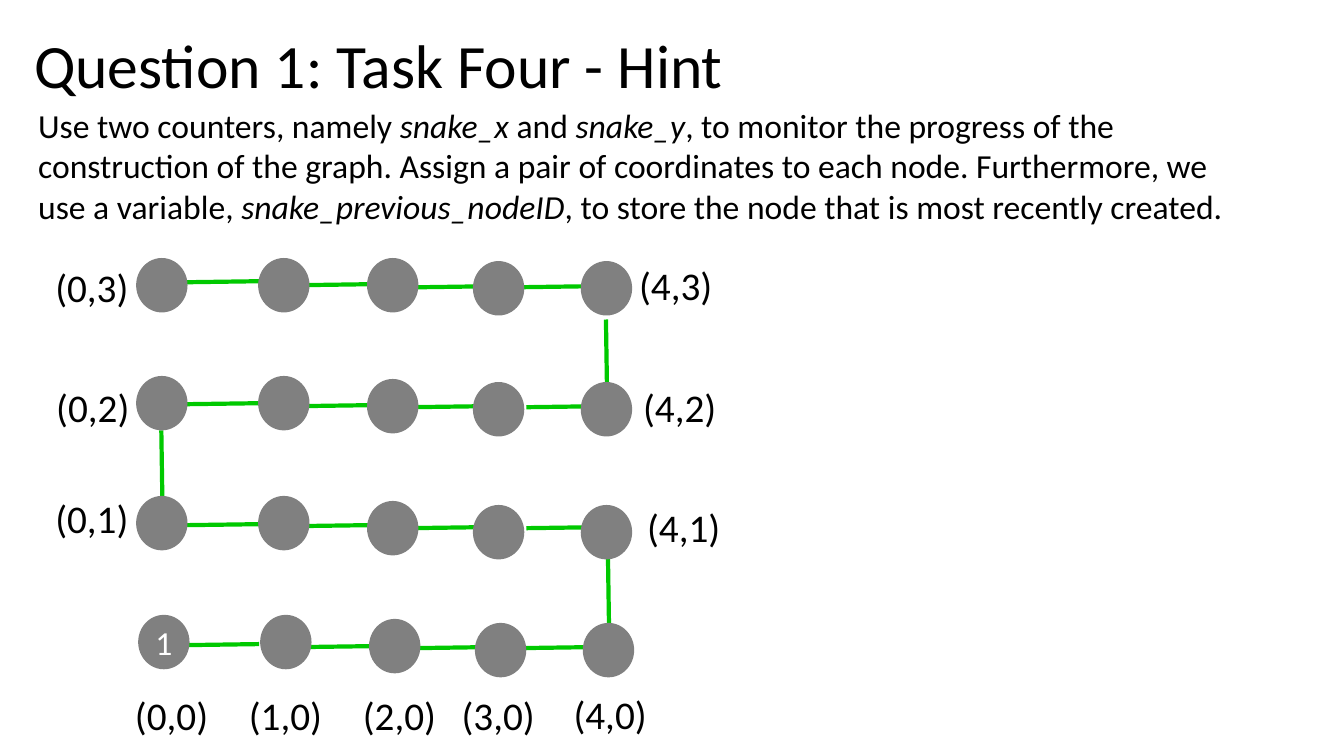
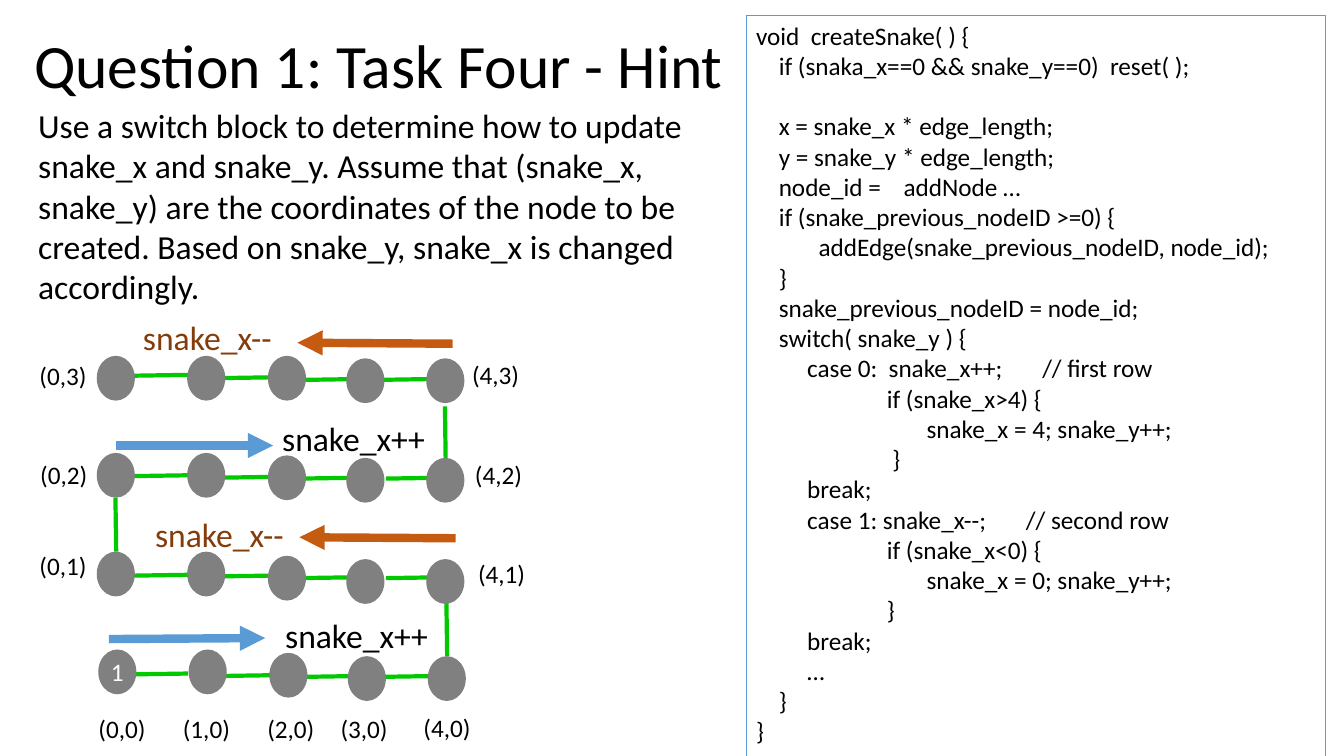
import pptx
import pptx.dml.color
import pptx.enum.shapes
import pptx.enum.text
import pptx.oxml.ns
import pptx.util
from lxml import etree

Inches = pptx.util.Inches
Pt = pptx.util.Pt
RGBColor = pptx.dml.color.RGBColor
ShapeType = pptx.enum.shapes.MSO_SHAPE
qn = pptx.oxml.ns.qn

BLACK = RGBColor(0x00, 0x00, 0x00)
WHITE = RGBColor(0xFF, 0xFF, 0xFF)
GREEN = RGBColor(0x00, 0xC9, 0x00)
GRAY = RGBColor(0x80, 0x80, 0x80)
BLUE = RGBColor(0x5B, 0x9B, 0xD5)
ORANGE = RGBColor(0xC5, 0x5A, 0x11)
BROWN = RGBColor(0x84, 0x3C, 0x0B)
FONT = "Calibri"

TITLE = "Question 1: Task Four - Hint"
COUNTERS_TEXT = [
    ("Use two counters, namely ", False),
    ("snake_x ", True),
    ("and ", False),
    ("snake_y", True),
    (", to monitor the progress of the construction of the graph. Assign a pair of "
     "coordinates to each node. Furthermore, we use a variable, ", False),
    ("snake_previous_nodeID", True),
    (", to store the node that is most recently created.", False),
]
SWITCH_TEXT = [
    ("Use a switch block to determine how to update snake_x and snake_y. Assume that "
     "(snake_x, snake_y) are the coordinates of the node to be created. Based on snake_y, "
     "snake_x is changed accordingly.", False),
]
CODE = """void  createSnake( ) {
    if (snaka_x==0 && snake_y==0)  reset( );
    
    x = snake_x * edge_length;
    y = snake_y * edge_length;
    node_id =    addNode …
    if (snake_previous_nodeID >=0) {
           addEdge(snake_previous_nodeID, node_id);
    }
    snake_previous_nodeID = node_id;
    switch( snake_y ) {
         case 0:  snake_x++;       // first row
                       if (snake_x>4) {
                              snake_x = 4; snake_y++;
                        }
         break;
         case 1: snake_x--;       // second row
                       if (snake_x<0) {
                              snake_x = 0; snake_y++;
                       }
         break;
         …
    }
}"""

NODE_SIZE = (0.51, 0.54)
COLUMN_LEFTS = (1.35, 2.56, 3.64, 4.69, 5.76)
ROW_TOPS = (
    (6.1, 6.1, 6.14, 6.18, 6.18),
    (4.92, 4.92, 4.97, 5.01, 5.01),
    (3.73, 3.73, 3.76, 3.79, 3.79),
    (2.56, 2.56, 2.56, 2.59, 2.59),
)
FIRST_ROW_SHIFT = 0.02
ROW_EDGE = (0.72, -0.01)
ROW_EDGE_STARTS = (
    (1.85, 6.4), (2.98, 6.42), (4.12, 6.43), (5.15, 6.43),
    (1.85, 5.21), (2.93, 5.22), (4.06, 5.24), (5.22, 5.24),
    (1.85, 4.01), (2.93, 4.03), (4.06, 4.04), (5.22, 4.04),
    (1.85, 2.8), (2.93, 2.83), (4.14, 2.85), (5.12, 2.85),
)
TURN_EDGE = (-0.01, -0.65)
TURN_EDGE_STARTS = ((6.04, 6.18), (1.61, 4.92), (6.02, 3.82))
COORDINATES = {
    (0, 0): (1.24, 6.81), (1, 0): (2.37, 6.81), (2, 0): (3.5, 6.81),
    (3, 0): (4.48, 6.81), (4, 0): (5.59, 6.8),
    (4, 1): (6.32, 4.94), (4, 2): (6.28, 3.75), (4, 3): (6.24, 2.54),
    (0, 1): (0.45, 4.85), (0, 2): (0.46, 3.75), (0, 3): (0.45, 2.56),
}
GRAPH_ORIGIN = (1.35, 2.56)
SMALL_ORIGIN = (0.96, 3.53)
SMALL_SCALE = (0.741, 0.823)

ARROWS = [
    ((1.08, 6.34), (2.63, 6.33), BLUE),
    ((1.15, 4.42), (2.71, 4.42), BLUE),
    ((4.49, 3.41), (2.95, 3.4), ORANGE),
    ((4.52, 5.34), (2.97, 5.33), ORANGE),
]
STEP_LABELS = [
    ("snake_x++", 2.73, 6.05, BLACK),
    ("snake_x++", 2.7, 4.1, BLACK),
    ("snake_x--", 1.44, 5.05, BROWN),
    ("snake_x--", 1.32, 3.09, BROWN),
]


def add_run(paragraph, text, size, color=BLACK, italic=False):
    run = paragraph.add_run()
    run.text = text
    run.font.name = FONT
    run.font.size = Pt(size)
    run.font.color.rgb = color
    run.font.italic = italic


def add_text(slide, box, runs, size, color=BLACK):
    shape = slide.shapes.add_textbox(*map(Inches, box))
    frame = shape.text_frame
    frame.word_wrap = True
    for text, italic in runs:
        add_run(frame.paragraphs[0], text, size, color, italic)
    return frame


def add_label(slide, box, text, size, color=BLACK):
    frame = add_text(slide, box, [(text, False)], size, color)
    frame.margin_right = 0


def add_line(shapes, start, end, color, width, arrow=False):
    connector = shapes.add_connector(
        pptx.enum.shapes.MSO_CONNECTOR.STRAIGHT, *map(Inches, (*start, *end)))
    connector.line.color.rgb = color
    connector.line.width = Pt(width)
    properties = connector.element.spPr
    if arrow:
        etree.SubElement(properties.find(qn("a:ln")), qn("a:tailEnd"), type="triangle")
    etree.SubElement(properties, qn("a:effectLst"))


def add_node(shapes, box):
    node = shapes.add_shape(ShapeType.OVAL, *map(Inches, box))
    node.shadow.inherit = False
    node.fill.solid()
    node.fill.fore_color.rgb = GRAY
    node.line.fill.background()
    return node


def add_node_number(node, text, size):
    frame = node.text_frame
    frame.margin_left = frame.margin_right = 0
    frame.margin_top = frame.margin_bottom = 0
    frame.vertical_anchor = pptx.enum.text.MSO_ANCHOR.MIDDLE
    paragraph = frame.paragraphs[0]
    paragraph.alignment = pptx.enum.text.PP_ALIGN.CENTER
    add_run(paragraph, text, size, WHITE)


def add_graph(slide, origin, scale, label_size, label_box, number_size):
    def place(x, y):
        return (origin[0] + (x - GRAPH_ORIGIN[0]) * scale[0],
                origin[1] + (y - GRAPH_ORIGIN[1]) * scale[1])

    shapes = slide.shapes.add_group_shape().shapes
    for starts, (dx, dy) in ((TURN_EDGE_STARTS, TURN_EDGE), (ROW_EDGE_STARTS, ROW_EDGE)):
        for x, y in starts:
            add_line(shapes, place(x, y), place(x + dx, y + dy), GREEN, 3)

    node_size = (NODE_SIZE[0] * scale[0], NODE_SIZE[1] * scale[1])
    for row, tops in enumerate(ROW_TOPS):
        shift = FIRST_ROW_SHIFT if row == 0 else 0
        for column, (left, top) in enumerate(zip(COLUMN_LEFTS, tops)):
            node = add_node(shapes, (*place(left + shift, top), *node_size))
            if (column, row) == (0, 0):
                add_node_number(node, "1", number_size)

    for (column, row), position in COORDINATES.items():
        add_label(slide, (*place(*position), *label_box), f"({column},{row})", label_size)


def add_code(slide):
    shape = slide.shapes.add_shape(
        ShapeType.RECTANGLE, Inches(7.4), Inches(0.15), Inches(5.75), Inches(7.37))
    shape.shadow.inherit = False
    shape.fill.background()
    shape.line.color.rgb = BLUE
    shape.line.width = Pt(0.75)
    frame = shape.text_frame
    frame.word_wrap = True
    frame.vertical_anchor = pptx.enum.text.MSO_ANCHOR.TOP
    for index, line in enumerate(CODE.split("\n")):
        paragraph = frame.add_paragraph() if index else frame.paragraphs[0]
        paragraph.alignment = pptx.enum.text.PP_ALIGN.LEFT
        add_run(paragraph, line, 18)


def add_hint_slide(presentation, body, body_size):
    slide = presentation.slides.add_slide(presentation.slide_layouts[6])
    frame = add_text(slide, (0.24, -0.05, 11.5, 1.45), [(TITLE, False)], 44)
    frame.vertical_anchor = pptx.enum.text.MSO_ANCHOR.MIDDLE
    frame.paragraphs[0].line_spacing = 0.9
    add_text(slide, (0.28, 0.99, *body_size), body, 24)
    return slide


def main():
    presentation = pptx.Presentation()
    presentation.slide_width = Inches(13.33)
    presentation.slide_height = Inches(7.5)

    slide = add_hint_slide(presentation, COUNTERS_TEXT, (12.08, 1.31))
    add_graph(slide, GRAPH_ORIGIN, (1, 1), 28, (0.94, 0.57), 24)

    slide = add_hint_slide(presentation, SWITCH_TEXT, (7.08, 2.12))
    add_graph(slide, SMALL_ORIGIN, SMALL_SCALE, 18, (0.76, 0.48), 18)
    add_code(slide)
    for start, end, color in ARROWS:
        add_line(slide.shapes, start, end, color, 6, arrow=True)
    for text, left, top, color in STEP_LABELS:
        add_label(slide, (left, top, 1.63, 0.5), text, 24, color)

    presentation.save("out.pptx")


if __name__ == "__main__":
    main()
